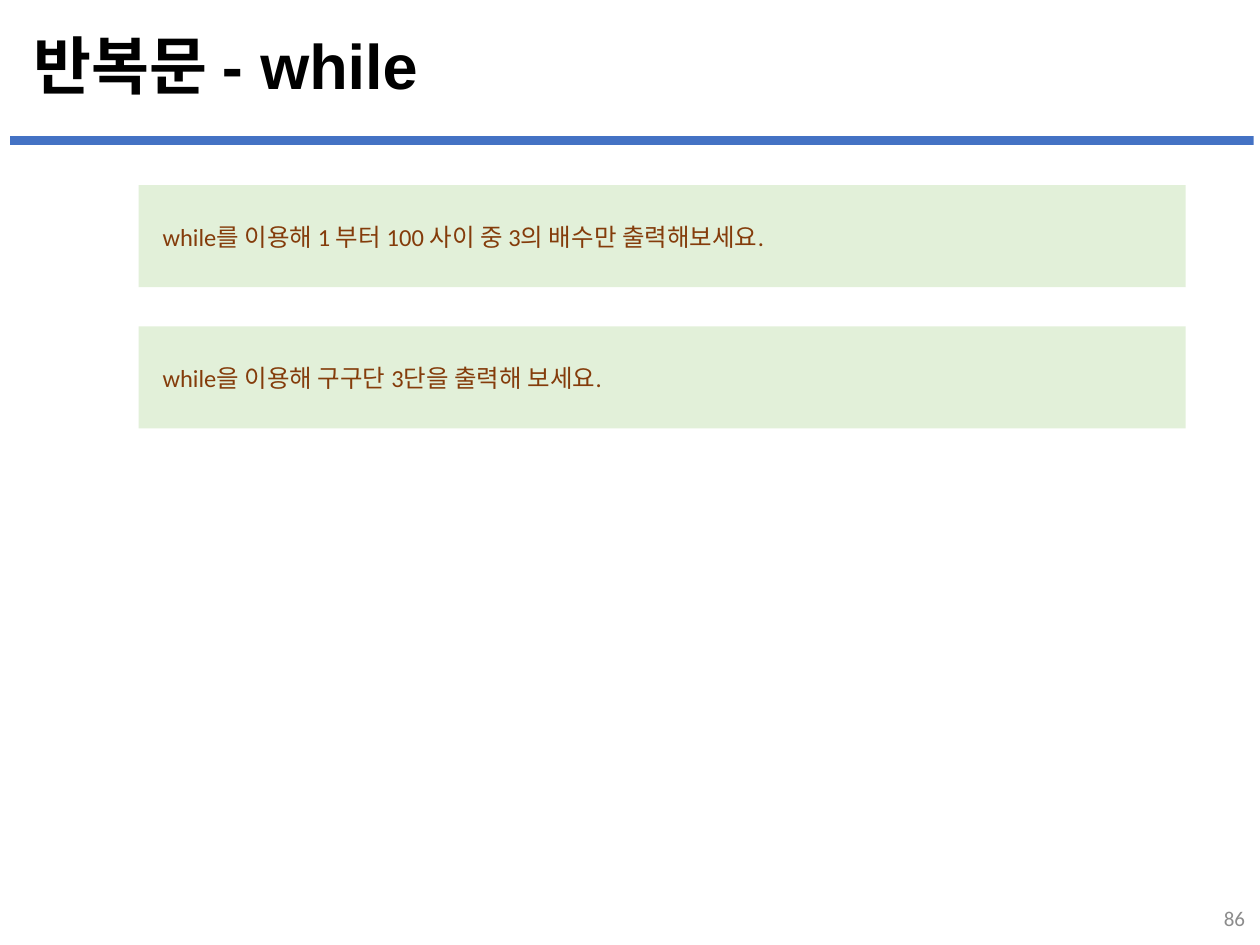
from pptx import Presentation
from pptx.dml.color import RGBColor
from pptx.enum import shapes, text
from pptx.util import Inches, Pt

TASKS = [
    "while를 이용해 1 부터 100 사이 중 3의 배수만 출력해보세요.",
    "while을 이용해 구구단 3단을 출력해 보세요.",
]


def color(code):
    return RGBColor.from_string(code)


def add_bar(slide, box, fill):
    bar = slide.shapes.add_shape(shapes.MSO_SHAPE.RECTANGLE, *map(Inches, box))
    bar.shadow.inherit = False
    bar.fill.solid()
    bar.fill.fore_color.rgb = color(fill)
    bar.line.fill.background()
    return bar


def set_text(shape, words, size, font, tint, bold=False, align=text.PP_ALIGN.LEFT):
    frame = shape.text_frame
    frame.word_wrap = True
    frame.vertical_anchor = text.MSO_ANCHOR.MIDDLE
    frame.text = words
    para = frame.paragraphs[0]
    para.alignment = align
    style = para.runs[0].font
    style.size, style.name, style.bold = Pt(size), font, bold
    style.color.rgb = color(tint)
    return para


def add_title(slide, box, words):
    title = slide.shapes.add_textbox(*map(Inches, box))
    para = set_text(title, words, 36, "Arial", "000000", bold=True)
    para.line_spacing = 0.9


def add_tasks(slide, box, tasks, gap):
    """Stack one panel per task, sharing the height of the box."""
    left, top, width, height = box
    tall = (height - gap * (len(tasks) - 1)) / len(tasks)
    for row, task in enumerate(tasks):
        place = (left, top + row * (tall + gap), width, tall)
        panel = add_bar(slide, place, "E2F0D9")
        set_text(panel, task, 14, "Calibri", "843C0B")
        panel.text_frame.margin_left = Inches(0.19)


def add_number(slide, box, number):
    note = slide.shapes.add_textbox(*map(Inches, box))
    set_text(note, number, 12, "Calibri", "8C8C8C", align=text.PP_ALIGN.RIGHT)


def main():
    deck = Presentation()
    deck.slide_width, deck.slide_height = Inches(10), Inches(7.5)
    slide = deck.slides.add_slide(deck.slide_layouts[6])
    add_bar(slide, (0.08, 1.08, 9.87, 0.07), "4472C4")
    add_title(slide, (0.17, 0.22, 9.66, 0.66), "반복문 - while")
    add_tasks(slide, (1.1, 1.47, 8.31, 1.93), TASKS, gap=0.31)
    add_number(slide, (7.73, 7.09, 2.25, 0.4), "86")
    deck.save("out.pptx")


if __name__ == "__main__":
    main()
